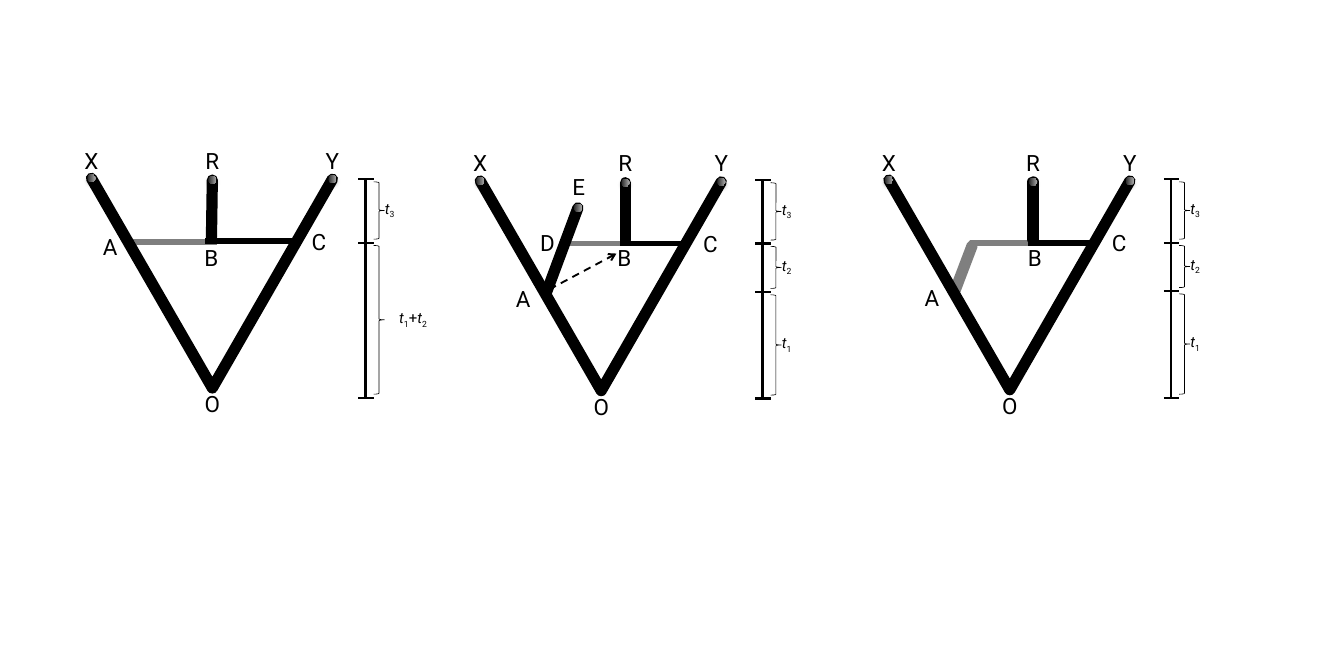
"""Draw three tree diagrams with their time scales."""
from pptx import Presentation
from pptx.dml.color import RGBColor as Rgb
from pptx.enum.dml import MSO_LINE as Dash
from pptx.enum.shapes import MSO_CONNECTOR as Link, MSO_SHAPE as Form
from pptx.enum.text import MSO_AUTO_SIZE as Fit, PP_ALIGN as Align
from pptx.oxml import parse_xml
from pptx.oxml.ns import nsdecls, qn
from pptx.util import Inches, Pt

INK = {"black": "000000", "gray": "7F7F7F", "dark": "262626", "light": "A6A6A6"}
FONT = "Roboto"
THICK, MID, THIN = 9, 4.5, 2

TREES = [
    {"at": (1.02, 1.99), "stem": 1.35, "foot": 1.34, "node": (1.27, 2.27),
     "rods": [((1.4, 0.71), (0.41, 0.71), MID, "gray")],
     "names": {"A": (0.21, 0.77), "B": (1.34, 0.89), "C": (2.54, 0.72)},
     "axis": 3.06, "marks": [0.01, 0.72, 2.45], "times": ["t3", "t1+t2"]},
    {"at": (5.36, 2.02), "stem": 1.62, "foot": 1.62, "node": (1.56, 2.31),
     "rods": [((1.56, 0.7), (0.92, 0.7), MID, "gray"),
              ((1.09, 0.3), (0.74, 1.24), THICK, "black")],
     "names": {"A": (0.48, 1.32), "B": (1.61, 0.87), "C": (2.57, 0.71),
               "D": (0.75, 0.7), "E": (1.1, 0.07)},
     "axis": 3.15, "marks": [-0.01, 0.7, 1.24, 2.43], "times": ["t3", "t2", "t1"],
     "tip": (1.09, 0.3), "arrow": ((0.77, 1.21), (1.52, 0.81))},
    {"at": (9.92, 2.01), "stem": 1.61, "foot": 1.61, "node": (1.55, 2.34),
     "rods": [((0.93, 0.73), (0.74, 1.23), THICK, "gray"),
              ((1.56, 0.7), (0.91, 0.7), MID, "gray")],
     "names": {"A": (0.48, 1.32), "B": (1.63, 0.87), "C": (2.57, 0.71)},
     "axis": 3.15, "marks": [-0.01, 0.7, 1.24, 2.43], "times": ["t3", "t2", "t1"]},
]


def tint(color):
    return Rgb.from_string(INK[color])


def pen(shape, width, color="black"):
    shape.line.color.rgb = tint(color)
    shape.line.width = Pt(width)
    if width == THICK:
        shape._element.spPr.find(qn("a:ln")).set("cap", "rnd")


def rod(slide, start, end, width, color="black"):
    line = slide.shapes.add_connector(Link.STRAIGHT, *map(Inches, start + end))
    pen(line, width, color)
    line._element.spPr.append(parse_xml(f"<a:effectLst {nsdecls('a')}/>"))
    return line


def arrow(slide, start, end):
    line = rod(slide, start, end, 1.5)
    line.line.dash_style = Dash.DASH
    edge = line._element.spPr.find(qn("a:ln"))
    edge.append(parse_xml(f'<a:tailEnd {nsdecls("a")} type="arrow"/>'))


def vee(slide, left, base, right):
    points = [tuple(map(Inches, spot)) for spot in (left, base, right)]
    path = slide.shapes.build_freeform(*points[0], scale=1.0)
    path.add_line_segments(points[1:], close=False)
    shape = path.convert_to_shape()
    shape.shadow.inherit = False
    shape.fill.background()
    pen(shape, THICK)


def dot(slide, spot, shade=True):
    x, y = spot
    size = 0.09
    ball = slide.shapes.add_shape(
        Form.OVAL, *map(Inches, (x - size / 2, y - size / 2, size, size)))
    ball.shadow.inherit = False
    ball.line.fill.background()
    ball.fill.gradient()
    ball.fill.gradient_angle = 0
    for stop, color, part in zip(ball.fill.gradient_stops, ("dark", "light"), (0, 1)):
        stop.color.rgb = tint(color)
        stop.position = part
    if shade:
        glow = ball._element.spPr.find(qn("a:effectLst"))
        glow.append(parse_xml(
            f'<a:outerShdw {nsdecls("a")} blurRad="{Pt(3.1)}" dist="{Pt(1.8)}" '
            'dir="5400000" rotWithShape="0"><a:srgbClr val="000000">'
            '<a:alpha val="35000"/></a:srgbClr></a:outerShdw>'))


def label(slide, text, spot, size=18, wide=0.54, high=0.42):
    x, y = spot
    box = slide.shapes.add_textbox(
        *map(Inches, (x - wide / 2, y - high / 2, wide, high)))
    frame = box.text_frame
    frame.word_wrap = size == 18
    frame.auto_size = Fit.SHAPE_TO_FIT_TEXT
    line = frame.paragraphs[0]
    line.alignment = Align.CENTER
    parts = [text] if size == 18 else text
    for part in parts:
        run = line.add_run()
        run.text = part
        run.font.size = Pt(size)
        run.font.name = FONT
        run.font.color.rgb = tint("black")
        if size != 18:
            run.font.italic = part == "t"
        if part.isdigit():
            run.font._element.set("baseline", "-25000")


def brace(slide, x, top, end):
    shape = slide.shapes.add_shape(
        Form.RIGHT_BRACE, *map(Inches, (x, top, 0.12, end - top)))
    shape.shadow.inherit = False
    shape.fill.background()
    pen(shape, 0.5)


def scale(slide, x, marks, times):
    rod(slide, (x, marks[0]), (x, marks[-1]), THIN)
    for y in marks:
        rod(slide, (x - 0.08, y), (x + 0.09, y), THIN)
    for top, end, text in zip(marks, marks[1:], times):
        brace(slide, x + 0.09, top + 0.03, end - 0.04)
        shift, wide = (0.27, 0.33) if len(text) == 2 else (0.53, 0.54)
        label(slide, text, (x + shift, (top + end) / 2 - 0.03), 12, wide, 0.3)


def tree(slide, data):
    left, top = data["at"]

    def place(spot):
        return left + spot[0], top + spot[1]

    stem = data["stem"]
    ends = {"X": (0, 0), "R": (stem, 0.02), "Y": (2.69, 0.01)}
    for start, end, width, color in data["rods"]:
        rod(slide, place(start), place(end), width, color)
    rod(slide, place((data["foot"], 0.66)), place(ends["R"]), THICK)
    vee(slide, place(ends["X"]), place((1.35, 2.34)), place(ends["Y"]))
    near, far = data["node"]
    rod(slide, place((far, 0.7)), place((near, 0.7)), MID)
    if "arrow" in data:
        arrow(slide, *map(place, data["arrow"]))
    if "tip" in data:
        dot(slide, place(data["tip"]), False)
    for name, spot in ends.items():
        dot(slide, place(spot))
        label(slide, name, place((spot[0], -0.19)))
    for name, spot in data["names"].items():
        label(slide, name, place(spot))
    label(slide, "O", place((1.35, 2.53)))
    scale(slide, left + data["axis"], [top + y for y in data["marks"]], data["times"])


def main():
    deck = Presentation()
    deck.slide_width, deck.slide_height = Inches(15), Inches(7.5)
    slide = deck.slides.add_slide(deck.slide_layouts[6])
    for data in TREES:
        tree(slide, data)
    deck.save("out.pptx")


main()
